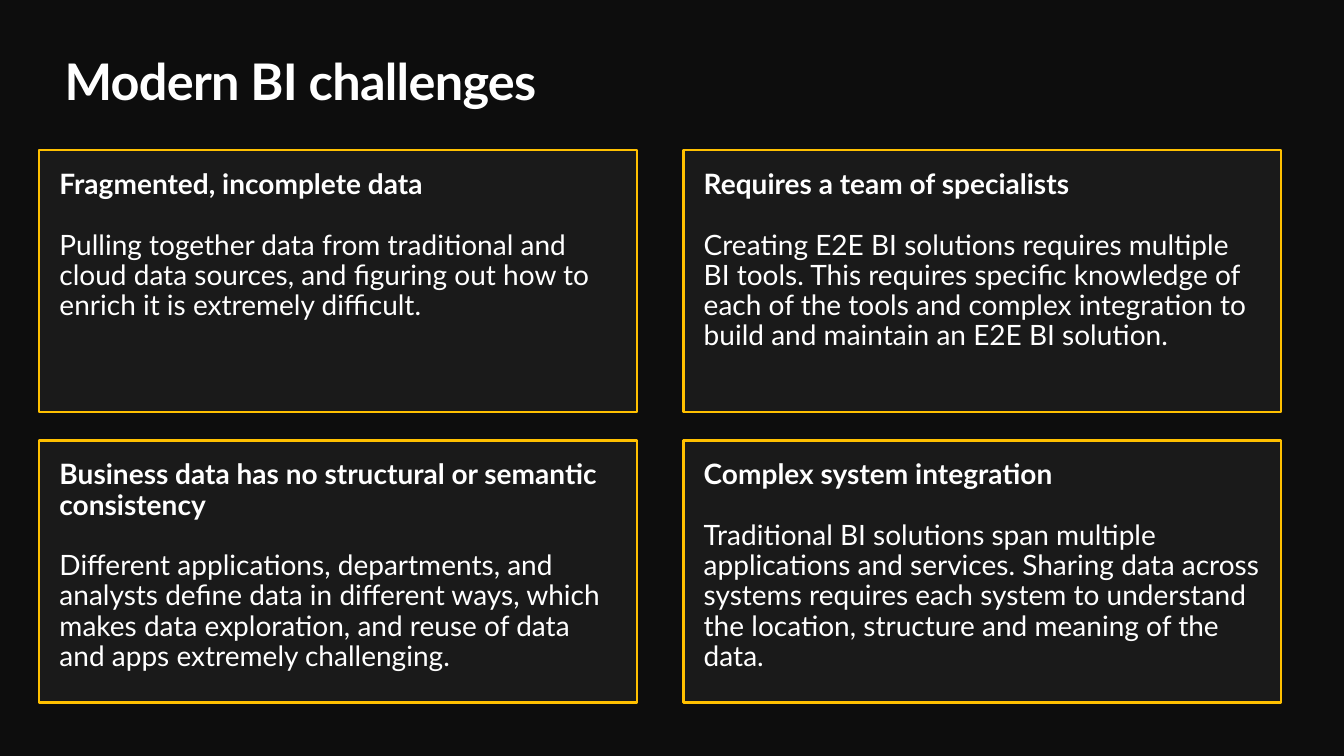
"""Build a slide with four cards on the challenges of modern BI."""
from pptx import Presentation
from pptx.dml.color import RGBColor
from pptx.enum.shapes import MSO_SHAPE
from pptx.enum.text import MSO_ANCHOR, PP_ALIGN
from pptx.util import Inches, Pt

RECT = MSO_SHAPE.RECTANGLE
TOP = MSO_ANCHOR.TOP
LEFT = PP_ALIGN.LEFT

BACK = RGBColor(0x0D, 0x0D, 0x0D)
PANEL = RGBColor(0x1A, 0x1A, 0x1A)
GOLD = RGBColor(0xFF, 0xC0, 0x00)
WHITE = RGBColor(0xFF, 0xFF, 0xFF)

CARDS = [
    ("Fragmented, incomplete data",
     "Pulling together data from traditional and cloud data sources, and "
     "figuring out how to enrich it is extremely difficult."),
    ("Requires a team of specialists",
     "Creating E2E BI solutions requires multiple BI tools. This requires "
     "specific knowledge of each of the tools and complex integration to "
     "build and maintain an E2E BI solution."),
    ("Business data has no structural or semantic consistency",
     "Different applications, departments, and analysts define data in "
     "different ways, which makes data exploration, and reuse of data and "
     "apps extremely challenging."),
    ("Complex system integration",
     "Traditional BI solutions span multiple applications and services. "
     "Sharing data across systems requires each system to understand the "
     "location, structure and meaning of the data."),
]


def write(para, text, size=20, bold=False, line=0.9, gap=0, track=0):
    para.alignment = LEFT
    para.line_spacing = line
    if gap:
        para.space_before = Pt(gap)
    run = para.add_run()
    run.text = text
    run.font.name = "Lato"
    run.font.size = Pt(size)
    run.font.bold = bold
    run.font.color.rgb = WHITE
    if track:
        run._r.get_or_add_rPr().set("spc", str(track))


def set_frame(frame, inset):
    frame.word_wrap = True
    frame.vertical_anchor = TOP
    frame.margin_left = frame.margin_right = Inches(inset)
    frame.margin_top = frame.margin_bottom = Inches(inset)


deck = Presentation()
deck.slide_width = Inches(13.33)
deck.slide_height = Inches(7.5)
slide = deck.slides.add_slide(deck.slide_layouts[6])
slide.background.fill.solid()
slide.background.fill.fore_color.rgb = BACK

title = slide.shapes.add_textbox(
    Inches(0.64), Inches(0.5), Inches(12.05), Inches(0.61))
set_frame(title.text_frame, 0)
write(title.text_frame.paragraphs[0], "Modern BI challenges",
      size=36, bold=True, line=1.0, track=-50)

for i, (head, body) in enumerate(CARDS):
    row, col = divmod(i, 2)
    card = slide.shapes.add_shape(
        RECT, Inches(0.39 + 6.39 * col), Inches(1.49 + 2.88 * row),
        Inches(5.93), Inches(2.6))
    card.shadow.inherit = False
    card.fill.solid()
    card.fill.fore_color.rgb = PANEL
    card.line.color.rgb = GOLD
    card.line.width = Pt(1.5)
    frame = card.text_frame
    set_frame(frame, 0.2)
    write(frame.paragraphs[0], head, bold=True)
    write(frame.add_paragraph(), body, gap=21.6)

deck.save("out.pptx")
